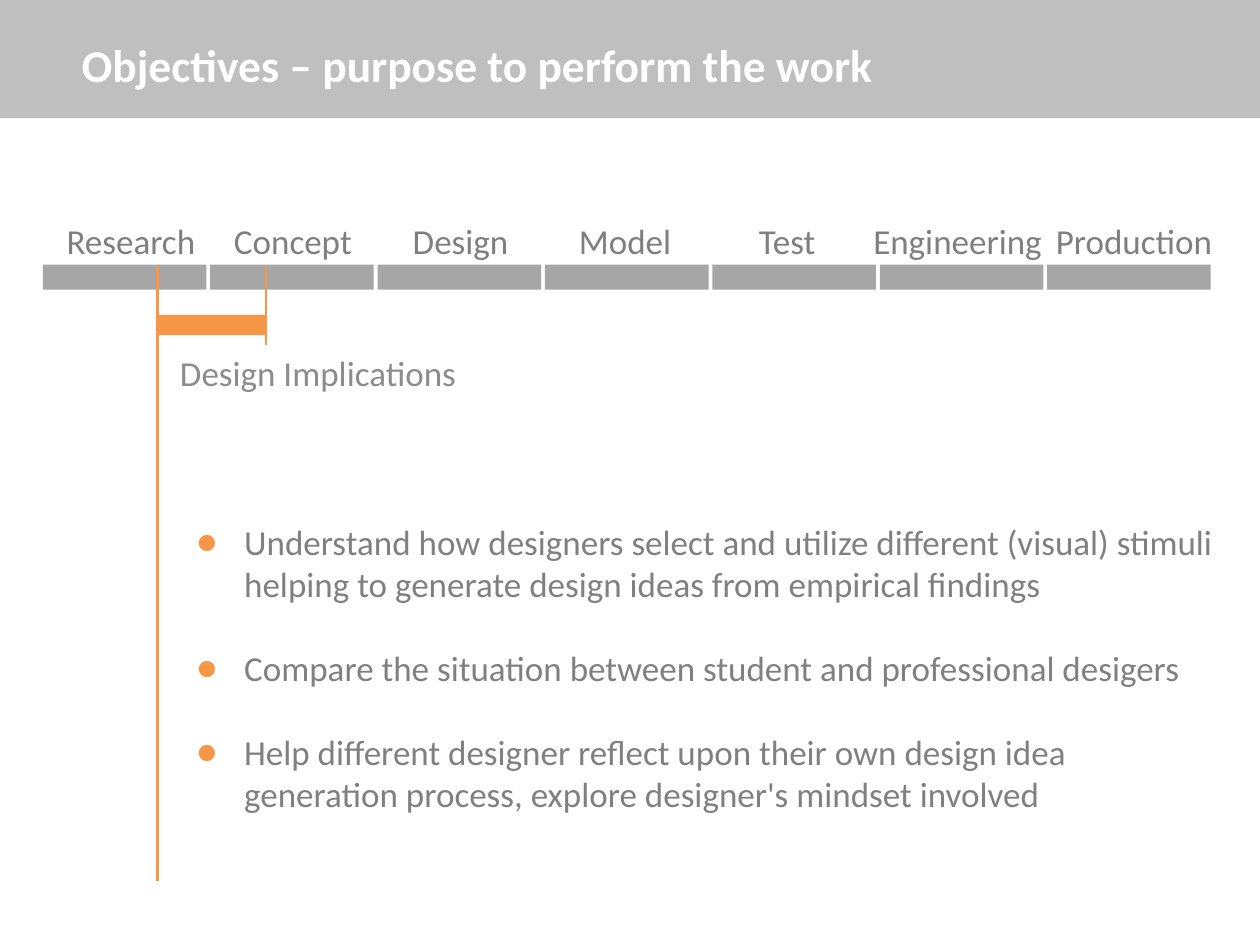
from lxml.etree import SubElement
from pptx import Presentation
from pptx.dml.color import RGBColor
from pptx.enum.shapes import MSO_CONNECTOR, MSO_SHAPE
from pptx.enum.text import MSO_ANCHOR
from pptx.oxml.ns import qn
from pptx.util import Inches, Pt

COLORS = {"band": "BFBFBF", "stage": "A6A6A6", "accent": "F79646", "white": "FFFFFF",
          "label": "7F7F7F", "caption": "8C8C8C", "body": "808080"}
WIDTH, HEIGHT = 10, 7.5
STAGES = [("Research", 0.09, 1.24), ("Concept", 0.09, 1.16), ("Design", 0.18, 0.99),
          ("Model", 0.17, 0.99), ("Test", 0.27, 0.91), ("Engineering", -0.15, 1.57),
          ("Production", -0.03, 1.49)]
OBJECTIVES = [
    "Understand how designers select and utilize different (visual) stimuli "
    "helping to generate design ideas from empirical findings",
    "Compare the situation between student and professional desigers",
    "Help different designer reflect upon their own design idea generation process, "
    "explore designer's mindset involved",
]


def color(name):
    return RGBColor.from_string(COLORS[name])


def add_bar(page, box, fill):
    bar = page.shapes.add_shape(MSO_SHAPE.RECTANGLE, *map(Inches, box))
    bar.shadow.inherit = False
    bar.fill.solid()
    bar.fill.fore_color.rgb = color(fill)
    bar.line.fill.background()


def add_text(page, box, lines, ink, size=20, bold=False):
    frame = page.shapes.add_textbox(*map(Inches, box)).text_frame
    frame.word_wrap = True
    frame.text = "\n".join(lines)
    for para in frame.paragraphs:
        for span in para.runs:
            span.font.name = "Calibri"
            span.font.size = Pt(size)
            span.font.bold = bold
            span.font.color.rgb = color(ink)
    return frame


def add_marker(page, x, top, bottom):
    marker = page.shapes.add_connector(MSO_CONNECTOR.STRAIGHT, Inches(x), Inches(top),
                                       Inches(x), Inches(bottom))
    marker.line.color.rgb = color("accent")
    marker.line.width = Pt(1.5)
    SubElement(marker._element.spPr, qn("a:effectLst"))


def add_header(page, box):
    left, top, width, height = box
    add_bar(page, box, "band")
    title_box = (left + 0.55, top + 0.08, width - 1.41, height - 0.08)
    title = add_text(page, title_box, ["Objectives – purpose to perform the work"],
                     "white", 26, True)
    title.vertical_anchor = MSO_ANCHOR.MIDDLE


def add_timeline(page, box):
    left, top, width, height = box
    gap, bar_height, label_height = 0.03, 0.2, 0.57
    pitch = (width + gap) / len(STAGES)
    bar_top = top + height - bar_height
    for column, (name, offset, label_width) in enumerate(STAGES):
        x = left + column * pitch
        add_bar(page, (x, bar_top, pitch - gap, bar_height), "stage")
        label = add_text(page, (x + offset, top, label_width, label_height), [name], "label")
        label.paragraphs[0].line_spacing = 1.4


def add_scope(page, box):
    left, top, width, height = box
    right, bottom = left + width, top + height
    add_bar(page, (left, top + 0.39, width, 0.16), "accent")
    add_text(page, (left + 0.08, top + 0.63, 2.39, 0.44), ["Design Implications"], "caption")
    add_marker(page, right, top, top + 0.63)
    add_marker(page, left, top + 0.63, bottom)
    add_marker(page, left, top, top + 0.67)


def add_objectives(page, box):
    frame = add_text(page, box, OBJECTIVES, "body")
    for row, para in enumerate(frame.paragraphs):
        properties = para._p.get_or_add_pPr()
        properties.set("marL", str(Inches(0.38)))
        properties.set("indent", str(-Inches(0.38)))
        bullet_color = SubElement(properties, qn("a:buClr"))
        SubElement(bullet_color, qn("a:srgbClr"), val=COLORS["accent"])
        SubElement(properties, qn("a:buFont"), typeface="Calibri")
        SubElement(properties, qn("a:buChar"), char="●")
        if row:
            para.space_before = Pt(24)


def main():
    deck = Presentation()
    deck.slide_width, deck.slide_height = Inches(WIDTH), Inches(HEIGHT)
    page = deck.slides.add_slide(deck.slide_layouts[6])
    add_header(page, (0, 0, WIDTH, HEIGHT / 8))
    add_timeline(page, (0.34, 1.56, 9.27, 0.74))
    add_scope(page, (1.25, 2.11, 0.86, 4.88))
    add_objectives(page, (1.46, 4.08, 8.34, 2.44))
    deck.save("out.pptx")


if __name__ == "__main__":
    main()
